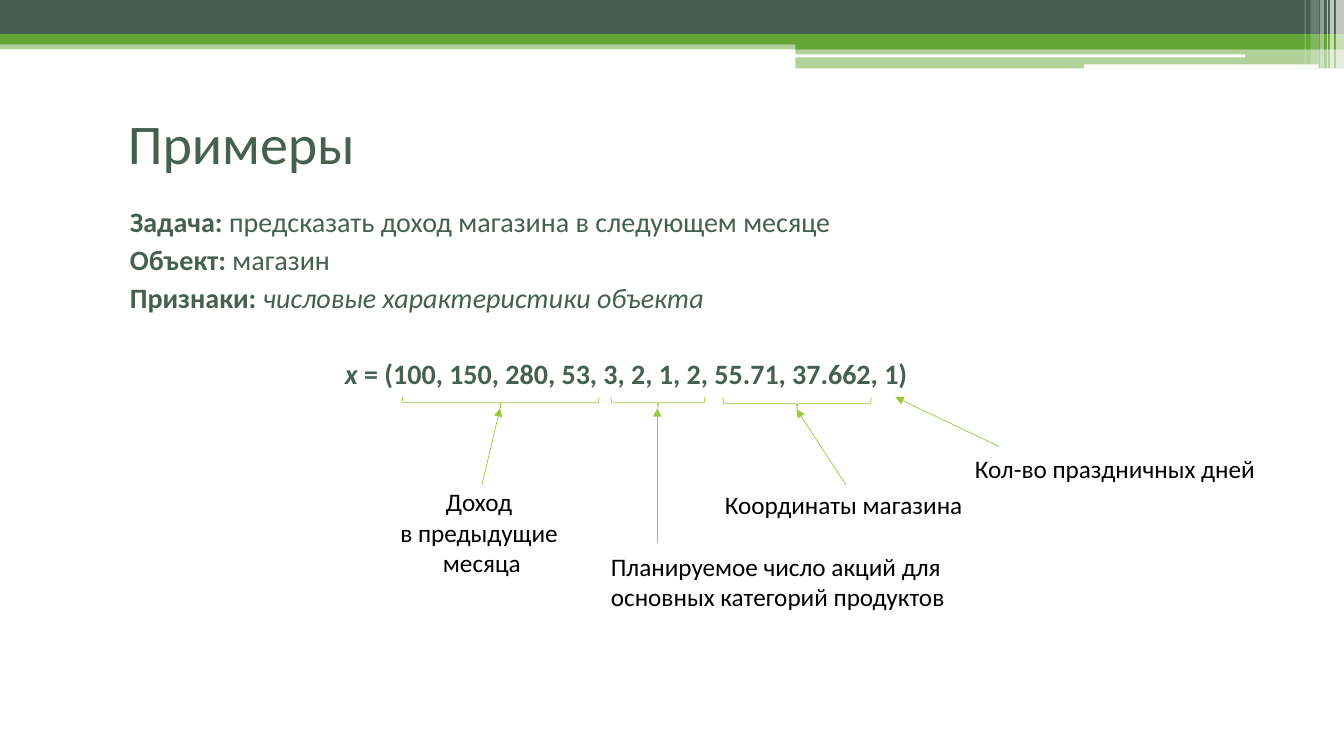
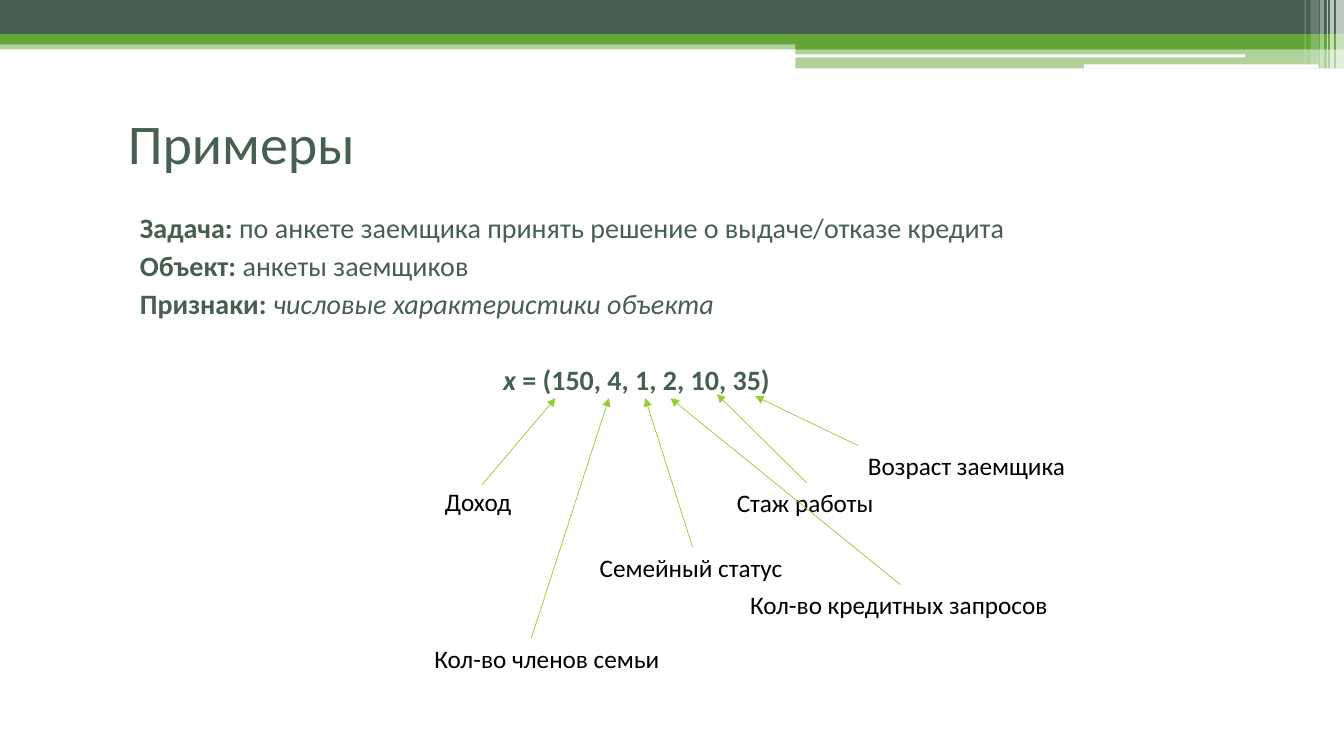
"""Build two slides that explain feature vectors with annotated examples."""
from dataclasses import dataclass, field

from lxml import etree
from pptx import Presentation
from pptx.dml.color import RGBColor
from pptx.enum.shapes import MSO_CONNECTOR, MSO_SHAPE
from pptx.enum.text import MSO_ANCHOR, PP_ALIGN
from pptx.oxml.ns import qn
from pptx.shapes.autoshape import Shape
from pptx.slide import Slide
from pptx.text.text import TextFrame
from pptx.util import Inches, Pt

RECTANGLE = MSO_SHAPE.RECTANGLE
ROUNDED = MSO_SHAPE.ROUNDED_RECTANGLE
BRACE = MSO_SHAPE.RIGHT_BRACE
STRAIGHT = MSO_CONNECTOR.STRAIGHT
TOP = MSO_ANCHOR.TOP
MIDDLE = MSO_ANCHOR.MIDDLE
LEFT = PP_ALIGN.LEFT
CENTER = PP_ALIGN.CENTER

Box = tuple[float, float, float, float]
Point = tuple[float, float]


@dataclass(frozen=True)
class Theme:
    dark: RGBColor = RGBColor(0x45, 0x5F, 0x51)
    green: RGBColor = RGBColor(0x63, 0xA5, 0x37)
    lime: RGBColor = RGBColor(0x99, 0xCB, 0x38)
    white: RGBColor = RGBColor(0xFF, 0xFF, 0xFF)
    black: RGBColor = RGBColor(0, 0, 0)
    font: str = "Calibri"
    title_size: int = 40
    body_size: int = 20
    label_size: int = 18
    body_gap: float = 3
    formula_gap: float = 30.4
    body_indent: float = 0.12
    line_width: float = 0.5


@dataclass(frozen=True)
class Band:
    box: Box
    color: RGBColor
    opacity: int = 100
    preset: MSO_SHAPE = RECTANGLE


@dataclass(frozen=True)
class Label:
    lines: tuple[str, ...]
    box: Box
    arrow_start: Point
    arrow_end: Point
    alignment: PP_ALIGN = LEFT


@dataclass(frozen=True)
class Example:
    body_box: Box
    task: str
    sample: str
    vector: str
    labels: list[Label]
    braces: list[Box] = field(default_factory=list)


THEME = Theme()

BANDS = [
    Band((0, 0.4, 13.33, 0.09), THEME.green, 50),
    Band((0, 0, 13.33, 0.34), THEME.dark),
    Band((0, 0.34, 13.33, 0.1), THEME.green),
    Band((7.89, 0.39, 5.44, 0.1), THEME.green),
    Band((7.89, 0.48, 5.44, 0.2), THEME.green, 50),
    Band((7.88, 0.54, 4.47, 0.03), THEME.white, preset=ROUNDED),
    Band((10.75, 0.64, 2.33, 0.04), THEME.white, preset=ROUNDED),
    Band((13.25, 0, 0.08, 0.68), THEME.white, 65),
    Band((13.19, 0, 0.04, 0.68), THEME.white, 65),
    Band((13.16, 0, 0.01, 0.68), THEME.white, 60),
    Band((13.09, 0, 0.04, 0.68), THEME.white, 40),
    Band((13, 0, 0.08, 0.64), THEME.white, 20),
    Band((12.94, 0, 0.01, 0.64), THEME.white, 30),
]

EXAMPLES = [
    Example(
        body_box=(1.07, 1.98, 10.17, 3.3),
        task="предсказать доход магазина в следующем месяце",
        sample="магазин",
        vector="= (100, 150, 280, 53, 3, 2, 1, 2, 55.71, 37.662, 1)",
        braces=[
            (3.99, 3.94, 1.95, 0.11),
            (6.06, 3.94, 0.93, 0.11),
            (7.17, 3.94, 1.47, 0.13),
        ],
        labels=[
            Label(("Доход ", "в предыдущие ", "месяца"),
                  (3.86, 4.78, 1.84, 1.01), (4.78, 4.81), (4.96, 4.05), CENTER),
            Label(("Планируемое число акций для", "основных категорий продуктов"),
                  (5.96, 5.42, 3.58, 0.71), (6.52, 5.39), (6.52, 4.05)),
            Label(("Координаты магазина",),
                  (7.09, 4.81, 2.58, 0.4), (8.39, 4.81), (7.9, 4.06)),
            Label(("Кол-во праздничных дней",),
                  (9.57, 4.45, 3.01, 0.4), (9.91, 4.43), (8.88, 3.94)),
        ],
    ),
    Example(
        body_box=(1.17, 2.04, 10.17, 3.3),
        task="по анкете заемщика принять решение о выдаче/отказе кредита",
        sample="анкеты заемщиков",
        vector="= (150, 4, 1, 2, 10, 35)",
        labels=[
            Label(("Доход ",),
                  (4.31, 4.78, 0.92, 0.4), (4.78, 4.81), (5.51, 3.95), CENTER),
            Label(("Семейный статус",),
                  (5.85, 5.43, 2.04, 0.4), (6.87, 5.43), (6.4, 3.95)),
            Label(("Стаж работы",),
                  (7.21, 4.79, 1.57, 0.4), (8, 4.79), (7.11, 3.91)),
            Label(("Возраст заемщика",),
                  (8.51, 4.42, 2.18, 0.4), (8.51, 4.42), (7.49, 3.93)),
            Label(("Кол-во членов семьи",),
                  (4.21, 6.33, 2.46, 0.4), (5.27, 6.33), (6.04, 3.95)),
            Label(("Кол-во кредитных запросов",),
                  (7.34, 5.8, 3.19, 0.4), (8.93, 5.8), (6.65, 3.95)),
        ],
    ),
]


def add_preset(slide: Slide, preset: MSO_SHAPE, box: Box) -> Shape:
    shape = slide.shapes.add_shape(preset, *map(Inches, box))
    shape.shadow.inherit = False
    return shape


def add_band(slide: Slide, band: Band) -> None:
    shape = add_preset(slide, band.preset, band.box)
    shape.line.fill.background()
    shape.fill.solid()
    shape.fill.fore_color.rgb = band.color
    if band.opacity < 100:
        color = shape.fill._xPr.find(f"{qn('a:solidFill')}/{qn('a:srgbClr')}")
        etree.SubElement(color, qn("a:alpha"), val=str(band.opacity * 1000))


def add_text_frame(slide: Slide, box: Box, wrap: bool = True,
                   anchor: MSO_ANCHOR = TOP) -> TextFrame:
    frame = slide.shapes.add_textbox(*map(Inches, box)).text_frame
    frame.word_wrap = wrap
    frame.vertical_anchor = anchor
    return frame


def add_paragraph(frame: TextFrame, index: int, size: int, color: RGBColor,
                  alignment: PP_ALIGN = LEFT):
    paragraph = frame.add_paragraph() if index else frame.paragraphs[0]
    paragraph.alignment = alignment
    paragraph.font.name = THEME.font
    paragraph.font.size = Pt(size)
    paragraph.font.color.rgb = color
    return paragraph


def add_title(slide: Slide, text: str) -> None:
    frame = add_text_frame(slide, (1.17, 0.82, 12, 1.17), anchor=MIDDLE)
    add_paragraph(frame, 0, THEME.title_size, THEME.dark).add_run().text = text


def add_body(slide: Slide, example: Example) -> None:
    frame = add_text_frame(slide, example.body_box)
    rows = [
        [("Задача: ", True, False), (example.task, False, False)],
        [("Объект: ", True, False), (example.sample, False, False)],
        [("Признаки: ", True, False), ("числовые характеристики объекта", False, True)],
        [("x ", True, True), (example.vector, True, False)],
    ]
    for index, row in enumerate(rows):
        is_formula = index == len(rows) - 1
        paragraph = add_paragraph(frame, index, THEME.body_size, THEME.dark,
                                  CENTER if is_formula else LEFT)
        paragraph.space_before = Pt(THEME.formula_gap if is_formula else THEME.body_gap)
        paragraph._p.get_or_add_pPr().set("marL", str(Inches(THEME.body_indent)))
        for text, bold, italic in row:
            run = paragraph.add_run()
            run.text = text
            run.font.bold = bold
            run.font.italic = italic


def add_brace(slide: Slide, box: Box) -> None:
    left, top, width, height = box
    upright = (left + (width - height) / 2, top + (height - width) / 2, height, width)
    shape = add_preset(slide, BRACE, upright)
    shape.rotation = 90
    shape.fill.background()
    shape.line.color.rgb = THEME.lime
    shape.line.width = Pt(THEME.line_width)


def add_arrow(slide: Slide, start: Point, end: Point) -> None:
    connector = slide.shapes.add_connector(STRAIGHT, *map(Inches, start + end))
    connector.line.color.rgb = THEME.lime
    connector.line.width = Pt(THEME.line_width)
    etree.SubElement(connector.line._get_or_add_ln(), qn("a:tailEnd"), type="triangle")
    etree.SubElement(connector._element.spPr, qn("a:effectLst"))


def add_label(slide: Slide, label: Label) -> None:
    add_arrow(slide, label.arrow_start, label.arrow_end)
    frame = add_text_frame(slide, label.box, wrap=False)
    for index, line in enumerate(label.lines):
        paragraph = add_paragraph(frame, index, THEME.label_size, THEME.black,
                                  label.alignment)
        paragraph.add_run().text = line


def add_example(presentation, example: Example) -> None:
    slide = presentation.slides.add_slide(presentation.slide_layouts[6])
    for band in BANDS:
        add_band(slide, band)
    add_title(slide, "Примеры")
    add_body(slide, example)
    for brace in example.braces:
        add_brace(slide, brace)
    for label in example.labels:
        add_label(slide, label)


def main() -> None:
    presentation = Presentation()
    presentation.slide_width = Inches(13.33)
    presentation.slide_height = Inches(7.5)
    for example in EXAMPLES:
        add_example(presentation, example)
    presentation.save("out.pptx")


main()
